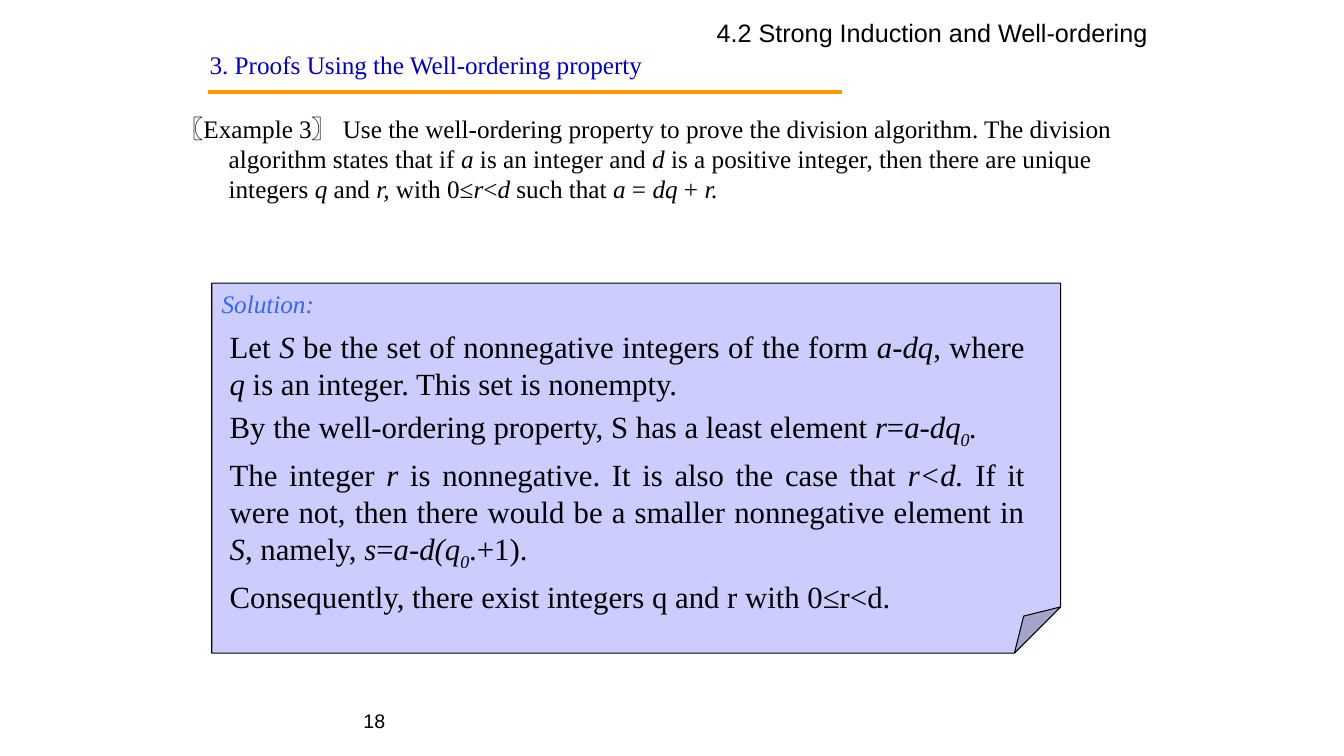
from lxml.etree import SubElement
from pptx import Presentation
from pptx.dml.color import RGBColor
from pptx.enum.shapes import MSO_CONNECTOR, MSO_SHAPE
from pptx.enum.text import MSO_ANCHOR, MSO_AUTO_SIZE, PP_ALIGN
from pptx.oxml.ns import qn
from pptx.util import Inches, Pt

SERIF = "Times New Roman"
SANS = "Arial"

EXAMPLE = (
    "〖Example 3〗 Use the well-ordering property to prove the division algorithm. "
    "The division algorithm states that if *a* is an integer and *d* is a positive "
    "integer, then there are unique integers *q* and *r,* with 0≤*r*<*d* such that "
    "*a* = *dq* + *r.*"
)
PROOF = [
    "Let *S *be the set of nonnegative integers of the form *a*-*dq*, where *q* is an "
    "integer. This set is nonempty.",
    "By the well-ordering property, S has a least element *r*=*a*-*dq~0~.*",
    "The integer* r *is nonnegative. It is also the case that* r<d. *If it were not, "
    "then there would be a smaller nonnegative element in* S*, namely,* s*=*a*-"
    "*d(q~0~*.+1).",
    "Consequently, there exist integers q and r with 0≤r<d.",
]


def color(hex_code):
    return RGBColor.from_string(hex_code)


def add_runs(paragraph, marked):
    for i, phrase in enumerate(marked.split("*")):
        for j, piece in enumerate(phrase.split("~")):
            if piece:
                run = paragraph.add_run()
                run.text = piece
                if i % 2:
                    run.font.italic = True
                if j % 2:
                    run.font._element.set("baseline", "-25000")


def write(frame, paragraphs, size, font, ink="000000", align=PP_ALIGN.LEFT,
          hanging=False, gap=0):
    frame.word_wrap = True
    for i, marked in enumerate(paragraphs):
        paragraph = frame.paragraphs[0] if i == 0 else frame.add_paragraph()
        add_runs(paragraph, marked)
        paragraph.alignment = align
        paragraph.font.size = Pt(size)
        paragraph.font.name = font
        paragraph.font.color.rgb = color(ink)
        if i:
            paragraph.space_before = Pt(gap)
        if hanging:
            properties = paragraph._p.get_or_add_pPr()
            properties.set("marL", str(Inches(0.5)))
            properties.set("indent", str(-Inches(0.5)))


def add_text(slide, left, top, width, height, paragraphs, size, font, **style):
    box = slide.shapes.add_textbox(
        Inches(left), Inches(top), Inches(width), Inches(height))
    write(box.text_frame, paragraphs, size, font, **style)
    box.text_frame.auto_size = MSO_AUTO_SIZE.SHAPE_TO_FIT_TEXT
    return box


def add_chapter(slide, left, top, width, height):
    add_text(slide, left, top, width, height,
             ["4.2 Strong Induction and Well-ordering "],
             18, SANS, align=PP_ALIGN.RIGHT)


def add_heading(slide, left, top, width, height):
    add_text(slide, left, top, width, height,
             ["3. Proofs Using the Well-ordering property"], 18, SERIF,
             ink="0000CC", hanging=True)
    rule_left, rule_top = Inches(left + 0.08), Inches(top + 0.47)
    rule = slide.shapes.add_connector(
        MSO_CONNECTOR.STRAIGHT, rule_left, rule_top,
        rule_left + Inches(6.29), rule_top)
    rule.line.color.rgb = color("FF9900")
    rule.line.width = Pt(3)
    SubElement(rule._element.spPr, qn("a:effectLst"))


def add_example(slide, left, top, width, height):
    add_text(slide, left, top, width, height, [EXAMPLE], 18, SERIF, hanging=True)


def add_solution(slide, left, top, width, height):
    note = slide.shapes.add_shape(
        MSO_SHAPE.FOLDED_CORNER,
        Inches(left), Inches(top), Inches(width), Inches(height))
    fold = note._element.spPr.prstGeom.get_or_add_avLst()
    SubElement(fold, qn("a:gd"), name="adj", fmla="val 12500")
    note.shadow.inherit = False
    note.fill.solid()
    note.fill.fore_color.rgb = color("CCCCFF")
    note.line.color.rgb = color("000000")
    note.line.width = Pt(0.75)
    note.text_frame.vertical_anchor = MSO_ANCHOR.TOP
    write(note.text_frame, ["*Solution:*"], 18, SERIF, ink="3366FF")
    add_text(slide, left + 0.08, top + 0.39, width - 0.34, height - 0.76,
             PROOF, 22, SERIF, align=PP_ALIGN.JUSTIFY, gap=4.4)


def add_page_number(slide, left, top, width, height):
    number = add_text(slide, left, top, width, height, ["18"], 14, SANS,
                      align=PP_ALIGN.RIGHT)
    number.text_frame.auto_size = MSO_AUTO_SIZE.NONE
    number.text_frame.vertical_anchor = MSO_ANCHOR.MIDDLE


def main():
    deck = Presentation()
    deck.slide_width, deck.slide_height = Inches(13.33), Inches(7.5)
    slide = deck.slides.add_slide(deck.slide_layouts[6])
    add_page_number(slide, 0.92, 6.95, 3, 0.4)
    add_heading(slide, 1.98, 0.44, 8.19, 0.4)
    add_example(slide, 1.67, 1.07, 10, 1.01)
    add_solution(slide, 2.1, 2.81, 8.42, 3.67)
    add_chapter(slide, 6.16, 0.12, 5.39, 0.4)
    deck.save("out.pptx")


if __name__ == "__main__":
    main()
